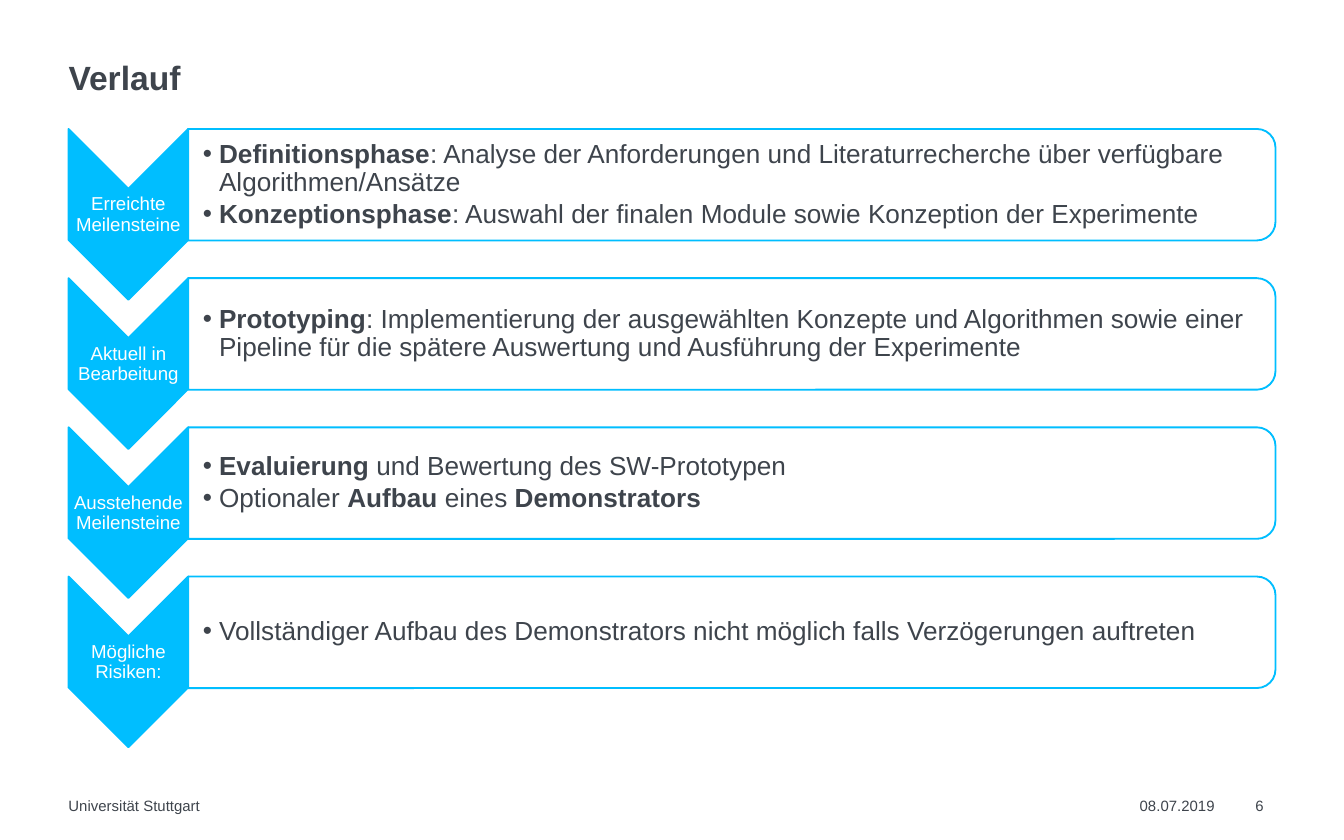
"""Build a slide with four milestone stages as chevrons with text panels."""
from typing import Any, NamedTuple

from lxml import etree
from pptx import Presentation
from pptx.dml.color import RGBColor
from pptx.enum import shapes, text
from pptx.oxml.ns import qn
from pptx.util import Emu, Inches, Pt

CYAN = RGBColor(0x00, 0xBE, 0xFF)
DARK = RGBColor(0x3E, 0x44, 0x4C)
WHITE = RGBColor(0xFF, 0xFF, 0xFF)
WIDE, HIGH = Inches(10), Inches(6.25)
CELL = WIDE // 100
LEFT, SPLIT, RIGHT = 5.1, 14, 94.9
TOP, PITCH = 9.6, 11.1
MID = text.MSO_ANCHOR.MIDDLE
CHEV = shapes.MSO_SHAPE.CHEVRON
PANEL = shapes.MSO_SHAPE.ROUND_2_SAME_RECTANGLE


class Box(NamedTuple):
    """Hold left, top, width and height in grid cells."""
    x: float
    y: float
    w: float
    h: float

    def emu(self) -> list[Emu]:
        """Return the four lengths in slide units."""
        return [Emu(round(v * CELL)) for v in self]

    def turn(self) -> "Box":
        """Return the unrotated frame that covers this box after 90 degrees."""
        x, y = self.x + self.w / 2, self.y + self.h / 2
        return Box(x - self.h / 2, y - self.w / 2, self.h, self.w)


class Stage(NamedTuple):
    """Hold a label and its points, with bold parts between asterisks."""
    label: str
    points: list[str]


class Note(NamedTuple):
    """Hold a plain line of text with its place and format."""
    words: str
    box: Box
    size: float = 8
    frame: dict[str, Any] = {}
    para: dict[str, Any] = {}


STAGES = [
    Stage("Erreichte Meilensteine", [
        "*Definitionsphase*: Analyse der Anforderungen und "
        "Literaturrecherche über verfügbare Algorithmen/Ansätze",
        "*Konzeptionsphase*: Auswahl der finalen Module sowie "
        "Konzeption der Experimente"]),
    Stage("Aktuell in Bearbeitung", [
        "*Prototyping*: Implementierung der ausgewählten Konzepte und "
        "Algorithmen sowie einer Pipeline für die spätere Auswertung "
        "und Ausführung der Experimente"]),
    Stage("Ausstehende Meilensteine", [
        "*Evaluierung* und Bewertung des SW-Prototypen",
        "Optionaler *Aufbau* eines *Demonstrators*"]),
    Stage("Mögliche Risiken:", [
        "Vollständiger Aufbau des Demonstrators nicht möglich "
        "falls Verzögerungen auftreten"]),
]
NOTES = [
    Note("*Verlauf*", Box(LEFT, 4.3, RIGHT - LEFT, 3), 18,
         {"vertical_anchor": text.MSO_ANCHOR.BOTTOM}, {"line_spacing": 0.9}),
    Note("Universität Stuttgart", Box(LEFT, 59.3, 66.3, 1.4)),
    Note("08.07.2019", Box(84.8, 59.3, 5.8, 1.4)),
    Note("6", Box(93.4, 59.3, 2.4, 1.4)),
]


def style(item: Any, form: dict[str, Any]) -> None:
    """Set every format value on the item."""
    for key, val in form.items():
        setattr(item, key, val)


def dot(para: Any) -> None:
    """Give the paragraph a hanging bullet."""
    props = para._p.get_or_add_pPr()
    props.set("marL", str(Inches(0.12)))
    props.set("indent", str(-Inches(0.12)))
    etree.SubElement(props, qn("a:buFont")).set("typeface", "Arial")
    etree.SubElement(props, qn("a:buChar")).set("char", "•")


def write(slide: Any, box: Box, lines: list[str], font: dict[str, Any],
          frame: dict[str, Any], para: dict[str, Any],
          list_on: bool = False) -> None:
    """Add a text box with one paragraph a line."""
    body = slide.shapes.add_textbox(*box.emu()).text_frame
    sides = ("left", "top", "right", "bottom")
    style(body, {f"margin_{s}": 0 for s in sides} | {"word_wrap": True} | frame)
    for n, line in enumerate(lines):
        item = body.add_paragraph() if n else body.paragraphs[0]
        style(item, para)
        if list_on:
            dot(item)
        for k, part in enumerate(line.split("*")):
            if part:
                run = item.add_run()
                run.text = part
                style(run.font, {"name": "Arial", "bold": k % 2 == 1} | font)
                run.font.fill.solid()
                run.font.fill.fore_color.rgb = font_tone(font)


def font_tone(font: dict[str, Any]) -> RGBColor:
    """Return white for the small chevron labels and dark otherwise."""
    return WHITE if font["size"] == Pt(10) else DARK


def draw(slide: Any, kind: Any, box: Box, fill: RGBColor) -> None:
    """Add a preset shape turned by 90 degrees."""
    item = slide.shapes.add_shape(kind, *box.turn().emu())
    item.rotation = 90
    item.shadow.inherit = False
    item.fill.solid()
    item.fill.fore_color.rgb = fill
    item.line.color.rgb = CYAN
    item.line.width = Pt(1)


def build(slide: Any, row: int, stage: Stage) -> None:
    """Draw one stage in its row of the grid."""
    y, w = TOP + row * PITCH, SPLIT - LEFT
    pad = {f"margin_{s}": Inches(0.01) for s in ("left", "top", "right", "bottom")}
    pad["vertical_anchor"] = MID
    draw(slide, CHEV, Box(LEFT, y, w, 12.7), CYAN)
    write(slide, Box(LEFT, y + 4.5, w, 3.8), [stage.label], {"size": Pt(10)}, pad,
          {"alignment": text.PP_ALIGN.CENTER, "line_spacing": 0.9,
           "space_after": Pt(3.5)})
    draw(slide, PANEL, Box(SPLIT, y, RIGHT - SPLIT, 8.3), WHITE)
    write(slide, Box(SPLIT, y + 0.4, 80.5, 7.5), stage.points, {"size": Pt(14)},
          pad | {"margin_left": Inches(0.11)},
          {"line_spacing": 0.9, "space_after": Pt(2.1)}, True)


def main() -> None:
    """Build and save the slide."""
    deck = Presentation()
    style(deck, {"slide_width": WIDE, "slide_height": HIGH})
    slide = deck.slides.add_slide(deck.slide_layouts[6])
    for row, stage in enumerate(STAGES):
        build(slide, row, stage)
    for note in NOTES:
        write(slide, note.box, [note.words], {"size": Pt(note.size)},
              note.frame, note.para)
    deck.save("out.pptx")


if __name__ == "__main__":
    main()
